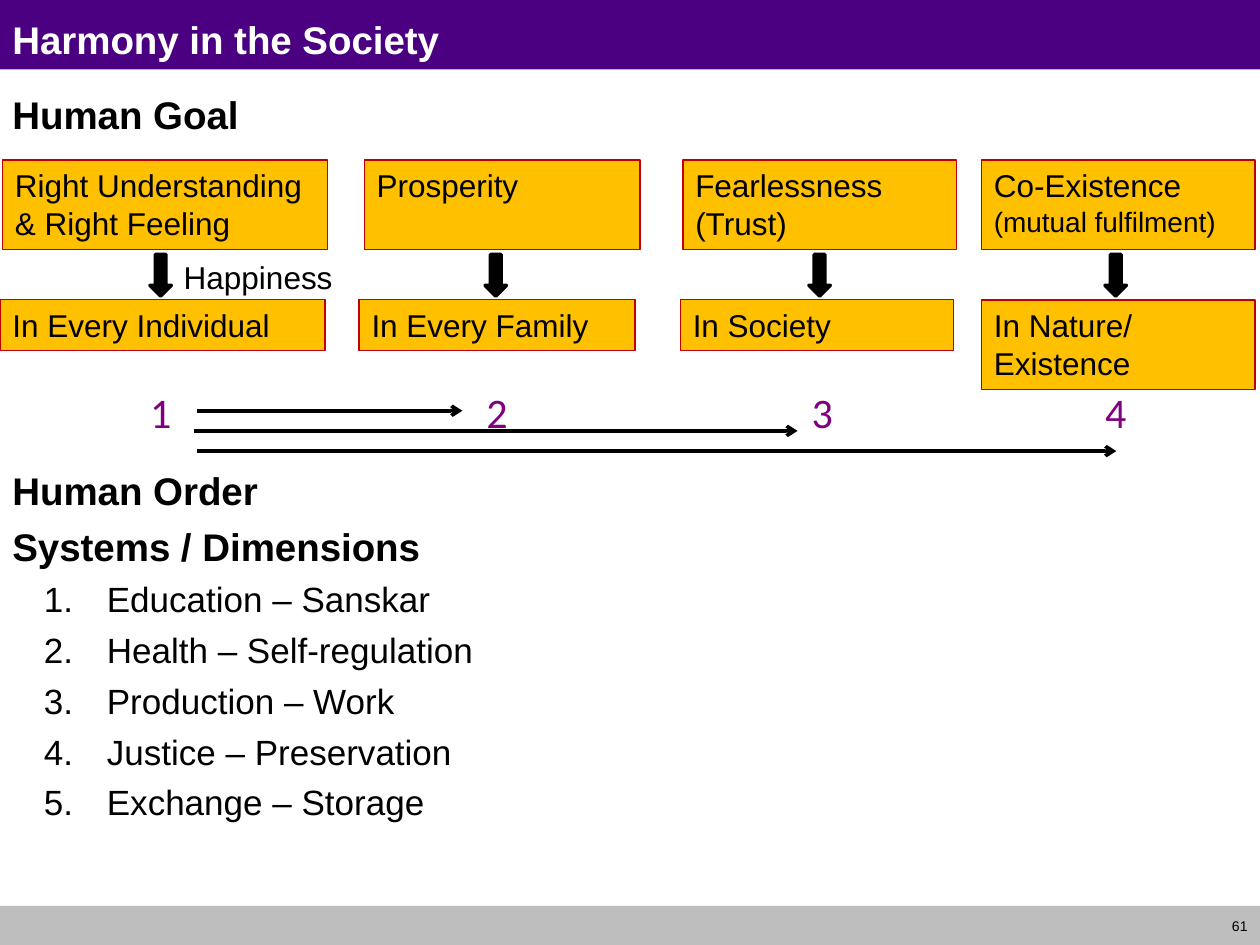
from dataclasses import dataclass
from lxml import etree
from pptx import Presentation
from pptx.dml.color import RGBColor
from pptx.enum.shapes import MSO_CONNECTOR, MSO_SHAPE
from pptx.enum.text import MSO_ANCHOR, PP_ALIGN
from pptx.oxml.ns import qn
from pptx.util import Inches, Pt

RECT, OVAL, DOWN = MSO_SHAPE.RECTANGLE, MSO_SHAPE.OVAL, MSO_SHAPE.DOWN_ARROW
LEFT, CENTER, RIGHT = PP_ALIGN.LEFT, PP_ALIGN.CENTER, PP_ALIGN.RIGHT
TOP, MIDDLE = MSO_ANCHOR.TOP, MSO_ANCHOR.MIDDLE


@dataclass(frozen=True)
class Theme:
    """Colours, fonts and type sizes of the slide."""
    purple: str = "4B0082"
    grey: str = "BEBEBE"
    gold: str = "FFC000"
    red: str = "C00000"
    violet: str = "800080"
    black: str = "000000"
    white: str = "FFFFFF"
    font: str = "Arial"
    number_font: str = "Calibri"
    number: int = 24
    heading: int = 22
    item: int = 20
    label: int = 18
    small: int = 16
    page: int = 8


T = Theme()
W, H = 10, 7.5


def add_box(parent, kind, at, fill=None, line=None, weight=0.75):
    """Add a preset shape at (left, top, width, height) in inches."""
    sp = parent.add_shape(kind, *map(Inches, at))
    sp.shadow.inherit = False
    if fill:
        sp.fill.solid()
        sp.fill.fore_color.rgb = RGBColor.from_string(fill)
    else:
        sp.fill.background()
    if line:
        sp.line.color.rgb = RGBColor.from_string(line)
        sp.line.width = Pt(weight)
    else:
        sp.line.fill.background()
    return sp


def add_text(sp, lines, size, color=T.black, bold=False, font=T.font,
             align=LEFT, anchor=TOP, wrap=True, gap=0):
    """Write one paragraph per (text, size) or plain text entry."""
    tf = sp.text_frame
    tf.word_wrap = wrap
    tf.vertical_anchor = anchor
    for i, line in enumerate(lines):
        text, points = line if isinstance(line, tuple) else (line, size)
        p = tf.add_paragraph() if i else tf.paragraphs[0]
        p.alignment = align
        p.space_before = Pt(gap if i else 0)
        r = p.add_run()
        r.text = text
        r.font.size = Pt(points)
        r.font.name = font
        r.font.bold = bold
        r.font.color.rgb = RGBColor.from_string(color)
    return tf


prs = Presentation()
prs.slide_width, prs.slide_height = Inches(W), Inches(H)
s = prs.slides.add_slide(prs.slide_layouts[6])

# Header and footer bands
footer_top = 7.19
add_box(s.shapes, RECT, (0, 0, W, 0.55), T.purple)
add_box(s.shapes, RECT, (0, footer_top, W, H - footer_top), T.grey)
page = s.shapes.add_textbox(*map(Inches, (9.53, footer_top, 0.47, 0.32)))
add_text(page, ["61"], T.page, align=RIGHT, anchor=MIDDLE)
title = s.shapes.add_textbox(*map(Inches, (0, 0.08, W, 0.42)))
add_text(title, ["Harmony in the Society"], T.heading, T.white, bold=True)

# Headings and numbered systems
goal = s.shapes.add_textbox(*map(Inches, (0, 0.67, W, 0.45)))
add_text(goal, ["Human Goal"], T.heading, bold=True)
order = s.shapes.add_textbox(*map(Inches, (0, 3.66, W, 3.51)))
tf = add_text(order, ["Human Order", "Systems / Dimensions"], T.heading,
              bold=True, gap=5.4)
systems = ["Education – Sanskar", "Health – Self-regulation",
           "Production – Work", "Justice – Preservation",
           "Exchange – Storage"]
for system in systems:
    p = tf.add_paragraph()
    p.space_before = Pt(5)
    pPr = p._p.get_or_add_pPr()
    pPr.set("marL", str(Inches(0.75)))
    pPr.set("indent", str(-Inches(0.5)))
    etree.SubElement(pPr, qn("a:buFont"), typeface="+mj-lt")
    etree.SubElement(pPr, qn("a:buAutoNum"), type="arabicPeriod")
    r = p.add_run()
    r.text = system
    r.font.size, r.font.name = Pt(T.item), T.font
    r.font.color.rgb = RGBColor.from_string(T.black)

# Goal columns: number left, arrow left, goal left, place left, width, texts
columns = [
    (1, 1.19, 0.02, 0, 2.58,
     ["Right Understanding & Right Feeling"], "In Every Individual", 0.4),
    (3.67, 3.85, 2.89, 2.85, 2.19, ["Prosperity"], "In Every Family", 0.4),
    (6.25, 6.42, 5.42, 5.4, 2.17,
     ["Fearlessness", "(Trust)"], "In Society", 0.4),
    (8.58, 8.77, 7.79, 7.79, 2.17,
     ["Co-Existence", ("(mutual fulfilment)", T.small)],
     "In Nature/ Existence", 0.71),
]
for n, column in enumerate(columns, 1):
    number_x, arrow_x, goal_x, place_x, width, goals, place, place_h = column
    number = add_box(s.shapes, OVAL, (number_x, 2.94, 0.55, 0.65))
    add_text(number, [str(n)], T.number, T.violet, font=T.number_font,
             align=CENTER, anchor=MIDDLE)
    group = s.shapes.add_group_shape().shapes
    add_box(group, DOWN, (arrow_x, 2.02, 0.17, 0.33), T.black, T.black, 2)
    for left, top, height, lines in ((goal_x, 1.27, 0.71, goals),
                                     (place_x, 2.38, place_h, [place])):
        box = add_box(group, RECT, (left, top, width, height), T.gold, T.red)
        add_text(box, lines, T.label)

# Arrows from the first goal to the others
for x1, x2, y in ((1.56, 3.67, 3.26), (1.54, 6.33, 3.42), (1.56, 8.86, 3.58)):
    arrow = s.shapes.add_connector(MSO_CONNECTOR.STRAIGHT,
                                   *map(Inches, (x1, y, x2, y)))
    arrow.line.color.rgb = RGBColor.from_string(T.black)
    arrow.line.width = Pt(2)
    etree.SubElement(arrow.line._get_or_add_ln(), qn("a:tailEnd"), type="arrow")
    etree.SubElement(arrow._element.spPr, qn("a:effectLst"))

happiness = s.shapes.add_textbox(*map(Inches, (1.36, 2, 1.39, 0.4)))
add_text(happiness, ["Happiness"], T.label, wrap=False)

prs.save("out.pptx")
